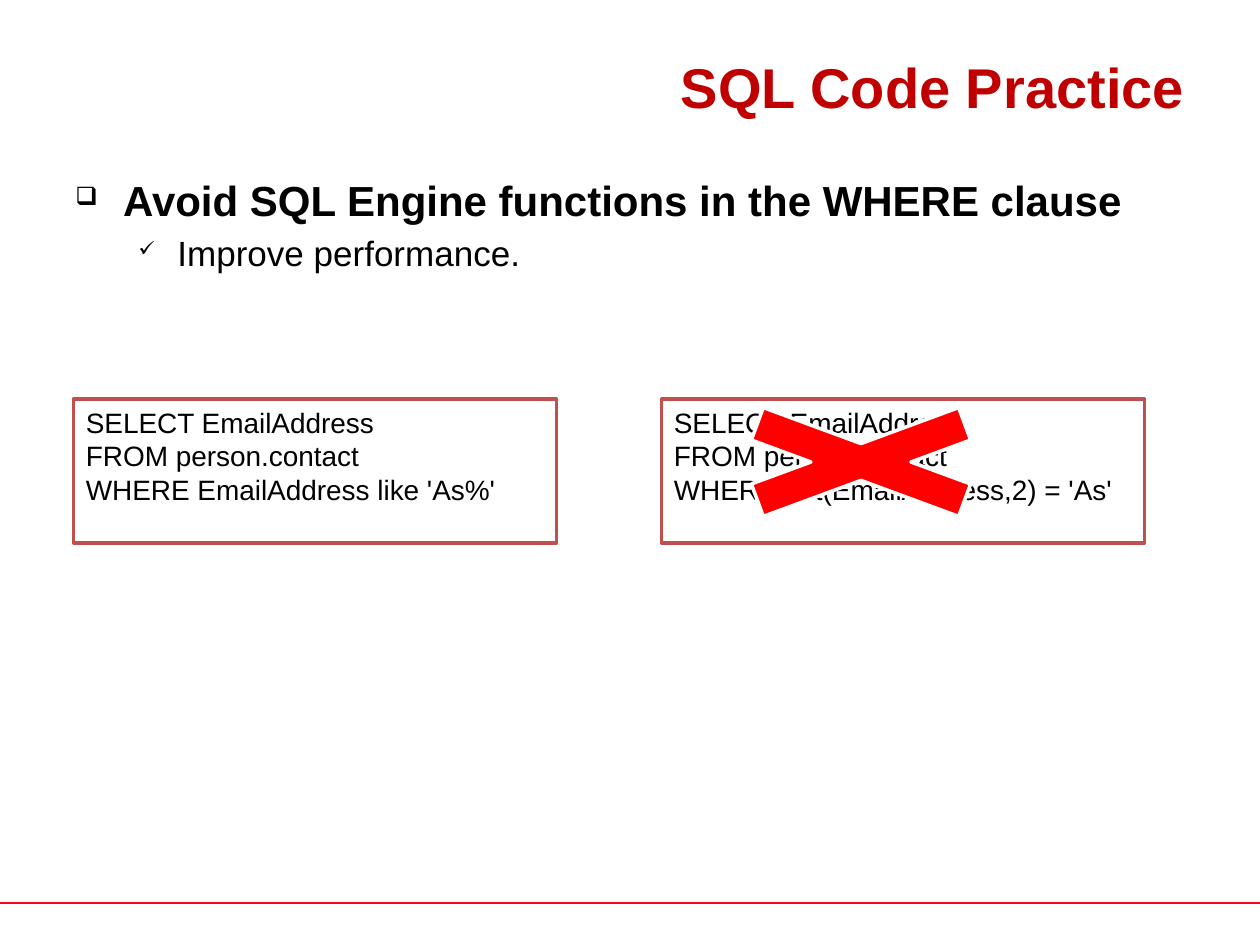
from lxml.etree import SubElement
from pptx import Presentation
from pptx.dml.color import RGBColor
from pptx.enum.shapes import MSO_CONNECTOR, MSO_SHAPE
from pptx.enum.text import MSO_ANCHOR as ANCHOR, PP_ALIGN as ALIGN
from pptx.oxml.ns import qn
from pptx.util import Inches, Pt

COLORS = {
    "title": "C00000",
    "text": "000000",
    "box": "FFFFFF",
    "border": "C0504D",
    "cross": "FF0000",
    "footer": "FC0128",
}


def color(name):
    return RGBColor.from_string(COLORS[name])


class SlideBuilder:
    """Places elements on a grid of 12 columns by 90 rows."""

    font = "Arial"

    def __init__(self, prs):
        self.s = prs.slides.add_slide(prs.slide_layouts[6])
        self.col = prs.slide_width / 12
        self.row = prs.slide_height / 90

    def area(self, col, row, cols, rows):
        return (round(col * self.col), round(row * self.row),
                round(cols * self.col), round(rows * self.row))

    def style(self, p, size, name="text", bold=False):
        for r in p.runs:
            r.font.name, r.font.size, r.font.bold = self.font, Pt(size), bold
            r.font.color.rgb = color(name)

    def text_box(self, area):
        tf = self.s.shapes.add_textbox(*self.area(*area)).text_frame
        tf.word_wrap = True
        return tf

    def title(self, area, text):
        tf = self.text_box(area)
        tf.vertical_anchor = ANCHOR.BOTTOM
        p = tf.paragraphs[0]
        p.text, p.alignment = text, ALIGN.RIGHT
        self.style(p, 32, "title", bold=True)

    def bullets(self, area, items):
        tf = self.text_box(area)
        tf.text = "\n".join(item[0] for item in items)
        for p, (_, mark, size, bold, indent, hang) in zip(tf.paragraphs, items):
            self.style(p, size, bold=bold)
            p.space_before = Pt(size * 0.2)
            pPr = p._p.get_or_add_pPr()
            pPr.set("marL", str(Inches(indent)))
            pPr.set("indent", str(-Inches(hang)))
            SubElement(pPr, qn("a:buSzPct")).set("val", "60000")
            SubElement(pPr, qn("a:buChar")).set("char", mark)

    def shape(self, kind, area, fill, line):
        sp = self.s.shapes.add_shape(kind, *self.area(*area))
        sp.shadow.inherit = False
        sp.fill.solid()
        sp.fill.fore_color.rgb = color(fill)
        sp.line.color.rgb = color(line)
        sp.line.width = Pt(2)
        return sp

    def code_box(self, area, lines):
        tf = self.shape(MSO_SHAPE.RECTANGLE, area, "box", "border").text_frame
        tf.word_wrap = True
        tf.vertical_anchor = ANCHOR.TOP
        tf.text = "\n".join(lines)
        for p in tf.paragraphs:
            p.alignment = ALIGN.LEFT
            self.style(p, 16)

    def rule(self, row):
        y = round(row * self.row)
        line = self.s.shapes.add_connector(
            MSO_CONNECTOR.STRAIGHT, 0, y, round(12 * self.col), y)
        line.line.color.rgb = color("footer")
        line.line.width = Pt(0.75)
        SubElement(line._element.spPr, qn("a:effectLst"))


def main():
    prs = Presentation()
    prs.slide_width, prs.slide_height = Inches(10), Inches(7.5)
    slide = SlideBuilder(prs)

    # Footer rule and title
    slide.rule(86)
    slide.title((0.6, 0, 10.8, 12), "SQL Code Practice")

    # Advice: text, mark, size, bold, indent, hanging part
    slide.bullets((0.6, 16, 10.8, 64.4), [
        ("Avoid SQL Engine functions in the WHERE clause", "❑", 24, True, 0.38, 0.38),
        ("Improve performance.", "✓", 20, False, 0.81, 0.31),
    ])

    # Good query on the left, bad query on the right
    conditions = ["EmailAddress like 'As%'", "left(EmailAddress,2) = 'As'"]
    for i, condition in enumerate(conditions):
        slide.code_box((0.7 + 5.6 * i, 38, 4.6, 13.7), [
            "SELECT EmailAddress", "FROM person.contact", f"WHERE {condition}"])

    # Cross over the bad query
    slide.shape(MSO_SHAPE.MATH_MULTIPLY, (6.3, 37, 3.8, 14), "cross", "box")

    prs.save("out.pptx")


if __name__ == "__main__":
    main()
